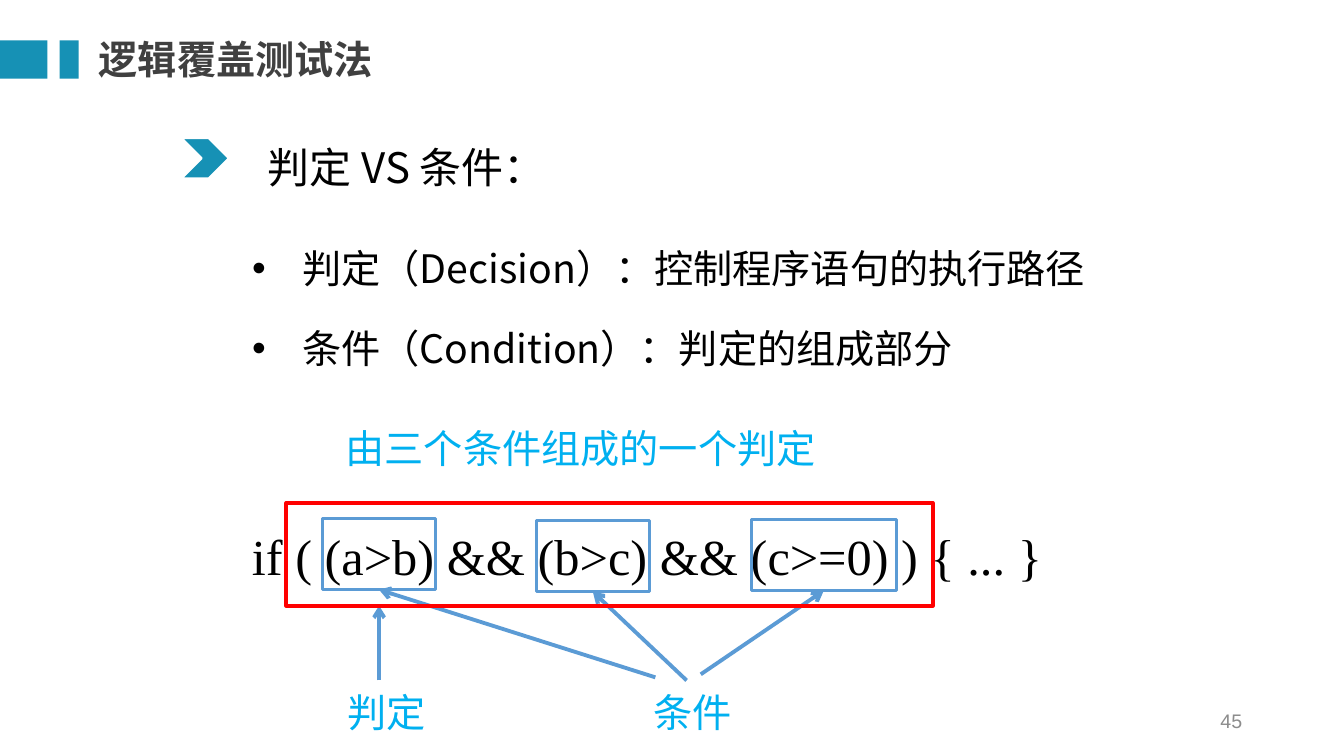
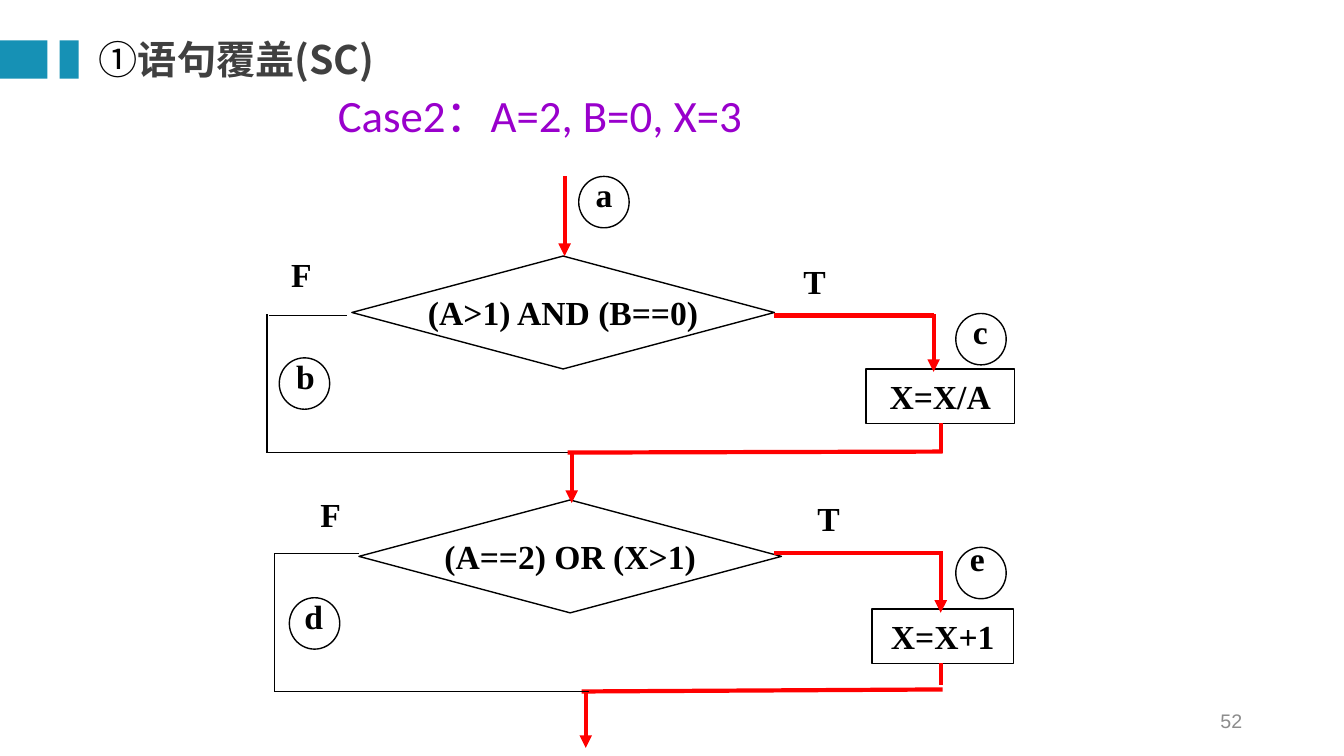
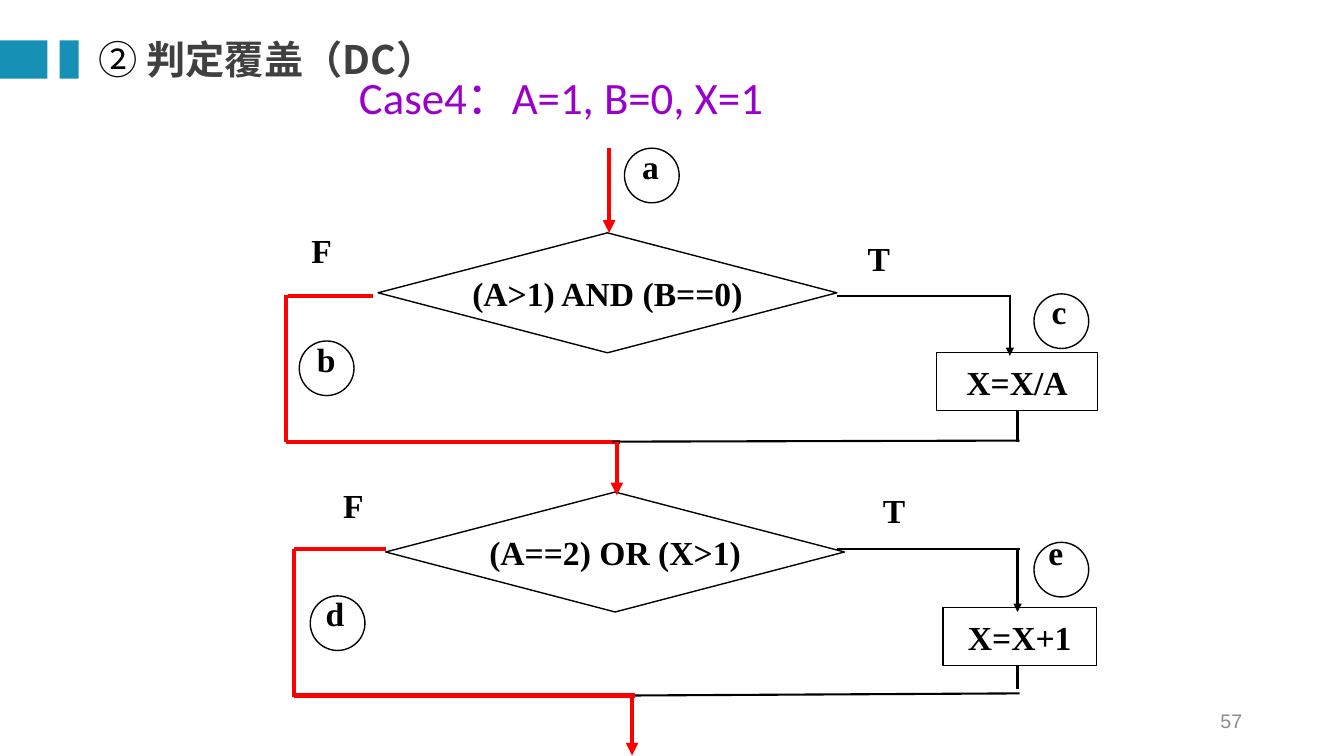
import pptx
import pptx.util
import pptx.dml.color
import pptx.enum.shapes
import pptx.enum.text
import pptx.oxml.ns
from lxml import etree

Inches, Pt = pptx.util.Inches, pptx.util.Pt
Shape = pptx.enum.shapes.MSO_SHAPE
Align = pptx.enum.text.PP_ALIGN
Anchor = pptx.enum.text.MSO_ANCHOR
qn = pptx.oxml.ns.qn

# Shared style
COLORS = {"accent": "1691B5", "heading": "404040", "number": "8C8C8C", "black": "000000",
          "white": "FFFFFF", "case": "9900CC", "note": "00B0F0", "blue": "5B9BD5", "red": "FF0000"}
CJK, SERIF = "Noto Sans CJK SC", "Times New Roman"
INSETS = (0.1, 0.05, 0.1, 0.05)

# Slide 1: decision and conditions
BULLETS = ["判定（Decision）：控制程序语句的执行路径", "条件（Condition）：判定的组成部分"]
# text, box, size, font, colour, line spacing
DECISION_TEXTS = [
    ("判定 VS 条件：", (2.56, 1.11, 8.07, 0.86), 30, CJK, "black", 1.5),
    ("if ( (a>b) && (b>c) && (c>=0) ) { ... }", (2.4, 4.74, 8.85, 1.13), 36, SERIF, "black", 1.7),
    ("由三个条件组成的一个判定", (3.33, 3.83, 9.08, 0.9), 28, CJK, "note", 1.7),
    ("判定", (3.35, 6.45, 1.21, 0.9), 28, CJK, "note", 1.7),
    ("条件", (6.38, 6.45, 1.21, 0.9), 28, CJK, "note", 1.7),
]
CONDITION_BOXES = [(3.2, 5.14, 1.12, 0.71), (5.32, 5.16, 1.12, 0.71), (7.45, 5.15, 1.44, 0.71)]
DECISION_BOX = (2.84, 4.99, 6.41, 1.02)
POINTERS = [((6.5, 6.72), (3.76, 5.85)), ((6.81, 6.75), (5.88, 5.87)),
            ((6.95, 6.69), (8.17, 5.86)), ((3.76, 6.75), (3.76, 6.01))]

# Slides 2 and 3: one flowchart, placed by an origin and a scale
FLOW_ORIGIN = (3.49, 2.54)
NODES = [
    (Shape.DIAMOND, "(A>1) AND (B==0)", (3.49, 2.54, 4.19, 1.12)),
    (Shape.DIAMOND, "(A==2) OR (X>1)", (3.56, 4.96, 4.19, 1.12)),
    (Shape.RECTANGLE, "X=X/A", (8.59, 3.66, 1.47, 0.54)),
    (Shape.RECTANGLE, "X=X+1", (8.65, 6.04, 1.4, 0.54)),
]
CIRCLES = [(5.74, 1.75), (9.48, 5.43), (2.77, 3.55), (2.87, 5.93), (9.48, 3.11)]
LABELS = [("a", 5.81, 1.68), ("e", 9.52, 5.29), ("b", 2.84, 3.48), ("d", 2.92, 5.86),
          ("c", 9.55, 3.04), ("F", 2.79, 2.47), ("F", 3.08, 4.85), ("T", 7.87, 2.54),
          ("T", 8.01, 4.89)]
# branch, start, end, arrowhead
FLOW_LINES = [
    ("b", (3.44, 3.13), (2.67, 3.13), None),
    ("b", (2.65, 3.12), (2.65, 4.49), None),
    ("b", (2.65, 4.49), (5.7, 4.49), None),
    ("c", (7.68, 3.13), (9.26, 3.13), None),
    ("c", (9.26, 3.12), (9.26, 3.69), "triangle"),
    ("c", (9.33, 4.2), (9.33, 4.49), None),
    ("c", (5.63, 4.49), (9.35, 4.48), None),
    ("d", (3.56, 5.49), (2.72, 5.49), None),
    ("d", (2.72, 5.49), (2.72, 6.87), None),
    ("e", (7.68, 5.49), (9.35, 5.49), None),
    ("e", (9.33, 5.5), (9.33, 6.08), "triangle"),
    ("e", (9.33, 6.58), (9.33, 6.8), None),
    ("e", (5.77, 6.86), (9.35, 6.84), None),
    ("d", (2.72, 6.86), (5.84, 6.86), None),
    ("a", (5.6, 1.75), (5.6, 2.54), "triangle"),
    ("a", (5.67, 4.49), (5.67, 4.99), "triangle"),
    ("a", (5.81, 6.87), (5.81, 7.42), "triangle"),
]
CASES = [
    {"mark": "①", "heading": "语句覆盖(SC)", "number": "52", "case": "Case2：A=2, B=0, X=3",
     "case_box": (3.25, 0.87, 7.24, 0.59), "taken": "ace", "plain_width": 1,
     "origin": (3.49, 2.54), "scale": (1, 1)},
    {"mark": "② ", "heading": "判定覆盖（DC）", "number": "57", "case": "Case4：A=1, B=0, X=1",
     "case_box": (3.46, 0.31, 5.2, 0.97), "taken": "abd", "plain_width": 1.5,
     "origin": (3.75, 2.31), "scale": (1.086, 1.0625)},
]


def rgb(name):
    return pptx.dml.color.RGBColor.from_string(COLORS[name])


def add_run(paragraph, text, size, font, color, bold=False):
    run = paragraph.add_run()
    run.text = text
    run.font.size, run.font.name, run.font.bold = Pt(size), font, bold
    run.font.color.rgb = rgb(color)
    if font in (CJK, "Lato"):
        etree.SubElement(run.font._element, qn("a:ea")).set("typeface", CJK)


def set_frame(shape, anchor=Anchor.TOP, insets=INSETS, wrap=True):
    frame = shape.text_frame
    frame.auto_size = pptx.enum.text.MSO_AUTO_SIZE.NONE
    frame.word_wrap, frame.vertical_anchor = wrap, anchor
    frame.margin_left, frame.margin_top, frame.margin_right, frame.margin_bottom = map(Inches, insets)
    return frame


def place(shape, box):
    shape.left, shape.top, shape.width, shape.height = map(Inches, box)
    return shape


def add_text(slide, box, runs, align=Align.LEFT, spacing=None, **frame_options):
    frame = set_frame(slide.shapes.add_textbox(*map(Inches, box)), **frame_options)
    paragraph = frame.paragraphs[0]
    paragraph.alignment, paragraph.line_spacing = align, spacing
    for run in runs:
        add_run(paragraph, *run)


def add_box(slide, kind, box, fill=None, line=None, width=1):
    shape = slide.shapes.add_shape(kind, *map(Inches, box))
    shape.shadow.inherit = False
    if fill:
        shape.fill.solid()
        shape.fill.fore_color.rgb = rgb(fill)
    else:
        shape.fill.background()
    if line:
        shape.line.color.rgb, shape.line.width = rgb(line), Pt(width)
    else:
        shape.line.fill.background()
    return shape


def add_line(slide, start, end, color, width, head=None):
    line = slide.shapes.add_connector(pptx.enum.shapes.MSO_CONNECTOR.STRAIGHT,
                                      *map(Inches, (*start, *end)))
    line.line.color.rgb, line.line.width = rgb(color), Pt(width)
    properties = line._element.spPr
    if head:
        etree.SubElement(properties.find(qn("a:ln")), qn("a:tailEnd")).set("type", head)
    etree.SubElement(properties, qn("a:effectLst"))


def add_bands_and_number(slide, number):
    for left, width in ((0, 0.47), (0.59, 0.19)):
        add_box(slide, Shape.RECTANGLE, (left, 0.4, width, 0.38), fill="accent")
    add_text(slide, (9.42, 6.95, 3, 0.4), [(number, 14, "Arial", "number")],
             align=Align.RIGHT, anchor=Anchor.MIDDLE)


HEADING_BOX = (0.98, 0.31, 8.07, 0.55)
HEADING_FRAME = {"anchor": Anchor.MIDDLE, "insets": (0, 0, 0, 0)}


def heading_run(text):
    return text, 28, CJK, "heading", True


def fill_title(slide, box, run, spacing=None, **frame_options):
    title = place(slide.shapes.title, box)
    paragraph = set_frame(title, **frame_options).paragraphs[0]
    paragraph.alignment, paragraph.line_spacing = Align.LEFT, spacing
    add_run(paragraph, *run)


def build_decision_slide(presentation):
    slide = presentation.slides.add_slide(presentation.slide_layouts[1])
    fill_title(slide, HEADING_BOX, heading_run("逻辑覆盖测试法"), **HEADING_FRAME)
    add_bands_and_number(slide, "45")
    add_box(slide, Shape.CHEVRON, (1.8, 1.37, 0.47, 0.4), "accent", "white", 1.5)

    # Bulleted definitions
    frame = set_frame(place(slide.placeholders[1], (2.4, 2.05, 8.99, 1.7)))
    for index, text in enumerate(BULLETS):
        paragraph = frame.paragraphs[0] if index == 0 else frame.add_paragraph()
        properties = paragraph._p.get_or_add_pPr()
        properties.set("marL", str(Inches(0.5)))
        properties.set("indent", str(Inches(-0.5)))
        bullet_color = etree.SubElement(properties, qn("a:buClr"))
        etree.SubElement(bullet_color, qn("a:srgbClr")).set("val", COLORS["black"])
        etree.SubElement(properties, qn("a:buFont")).set("typeface", "Arial")
        etree.SubElement(properties, qn("a:buChar")).set("char", "•")
        paragraph.alignment, paragraph.line_spacing = Align.JUSTIFY, 1.7
        paragraph.space_before = Pt(0)
        add_run(paragraph, text, 28, CJK, "black")

    # Annotated expression
    for text, box, size, font, color, spacing in DECISION_TEXTS:
        add_text(slide, box, [(text, size, font, color)], Align.JUSTIFY, spacing)
    for box in CONDITION_BOXES:
        add_box(slide, Shape.RECTANGLE, box, line="blue", width=2.25)
    for start, end in POINTERS:
        add_line(slide, start, end, "blue", 2.75, "arrow")
    add_box(slide, Shape.RECTANGLE, DECISION_BOX, line="red", width=2.75)


def build_case_slide(presentation, case):
    slide = presentation.slides.add_slide(presentation.slide_layouts[5])
    fill_title(slide, case["case_box"], (case["case"], 32, "Calibri", "case"), 0.9,
               anchor=Anchor.BOTTOM)
    scale_x, scale_y = case["scale"]

    def point(x, y):
        return (case["origin"][0] + (x - FLOW_ORIGIN[0]) * scale_x,
                case["origin"][1] + (y - FLOW_ORIGIN[1]) * scale_y)

    def area(left, top, width, height):
        return (*point(left, top), width * scale_x, height * scale_y)

    # Decisions, steps and labels
    for kind, text, box in NODES:
        node = add_box(slide, kind, area(*box), line="black")
        paragraph = set_frame(node, Anchor.MIDDLE, wrap=False).paragraphs[0]
        paragraph.alignment = Align.CENTER
        add_run(paragraph, text, 24, SERIF, "black", True)
    for left, top in CIRCLES:
        add_box(slide, Shape.OVAL, area(left, top, 0.5, 0.51), "white", "black")
    for text, left, top in LABELS:
        add_text(slide, area(left, top, 0.46, 0.47), [(text, 24, SERIF, "black", True)])

    # Flow lines, with the executed path in red
    for branch, start, end, head in FLOW_LINES:
        taken = branch in case["taken"]
        add_line(slide, point(*start), point(*end), "red" if taken else "black",
                 3 if taken else case["plain_width"], head)

    add_bands_and_number(slide, case["number"])
    add_text(slide, HEADING_BOX, [(case["mark"], 28, "Lato", "black"), heading_run(case["heading"])],
             **HEADING_FRAME)


def main():
    presentation = pptx.Presentation()
    presentation.slide_width, presentation.slide_height = Inches(13.33), Inches(7.5)
    build_decision_slide(presentation)
    for case in CASES:
        build_case_slide(presentation, case)
    presentation.save("out.pptx")


if __name__ == "__main__":
    main()
